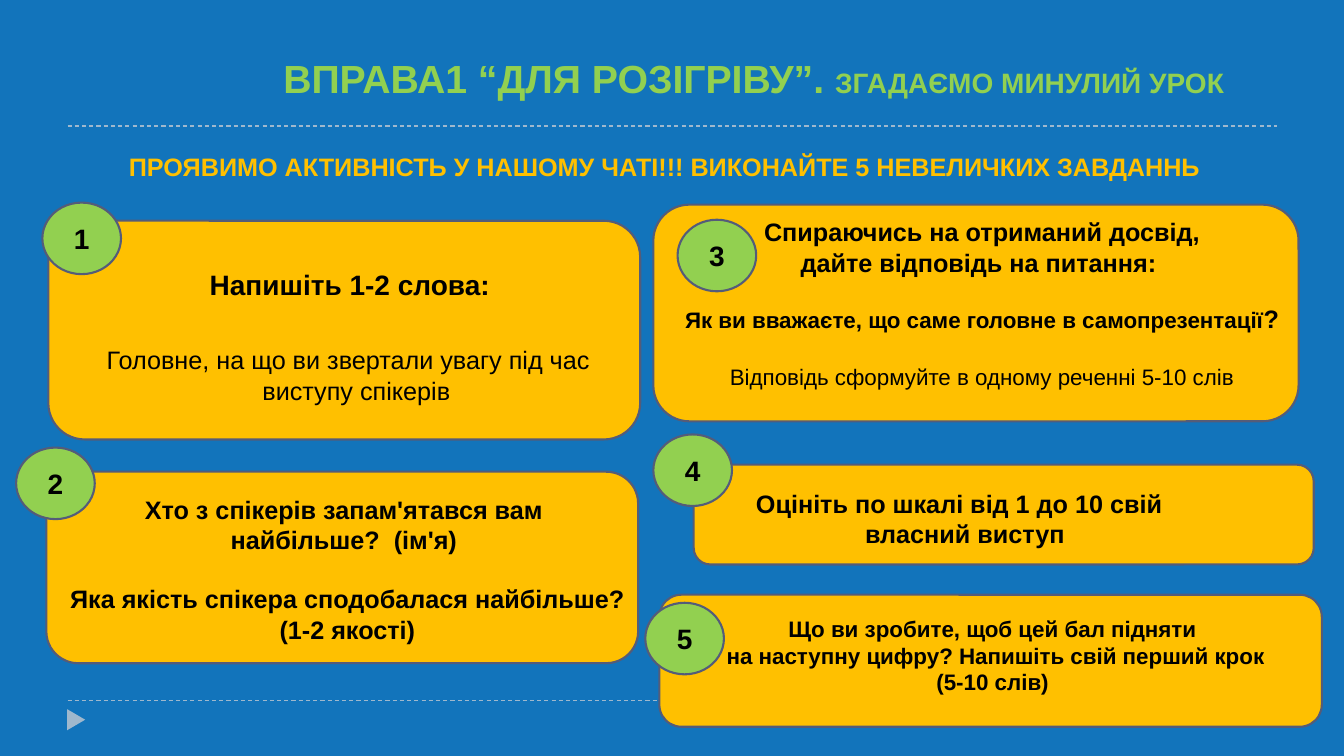
from lxml.etree import SubElement
from pptx import Presentation
from pptx.dml.color import RGBColor
from pptx.enum.dml import MSO_LINE
from pptx.enum.shapes import MSO_CONNECTOR, MSO_SHAPE
from pptx.enum.text import MSO_ANCHOR, MSO_AUTO_SIZE, PP_ALIGN
from pptx.oxml.ns import qn
from pptx.util import Inches, Pt

COLORS = {
    "background": "1274BB",
    "rule": "9FB8CD",
    "card": "FFC000",
    "badge": "92D050",
    "outline": "545C79",
    "ink": "000000",
}

TASKS = [
    {"number": "1", "box": (0.48, 2.19, 5.87, 2.17), "badge": (-0.06, -0.18), "blocks": [
        ((0.07, 0.41, 5.84, 0.44), [{"text": "Напишіть 1-2 слова:", "size": 20}]),
        ((0.48, 1.18, 5.15, 0.71), [
            {"text": "Головне, на що ви звертали увагу під час", "bold": False, "align": PP_ALIGN.LEFT},
            {"text": "виступу спікерів", "bold": False}])]},
    {"number": "2", "box": (0.46, 4.68, 5.87, 1.9), "badge": (-0.3, -0.24), "blocks": [
        ((-1.04, 0.17, 8.05, 1.92), [
            {"text": "Хто з спікерів запам'ятався вам "},
            {"text": "найбільше?  (ім'я) "},
            {"text": "Яка якість спікера сподобалася найбільше?", "before": 21},
            {"text": " (1-2 якості) "}])]},
    {"number": "3", "box": (6.48, 2.03, 6.4, 2.15), "badge": (0.24, 0.15), "blocks": [
        ((-0.19, 0.07, 6.9, 2.68), [
            {"text": "Спираючись на отриманий досвід,"},
            {"text": "дайте відповідь на питання: "},
            {"text": "Як ви вважаєте, що саме головне в самопрезентації", "size": 16,
             "before": 19, "tail": "?", "tail_size": 18},
            {"text": "Відповідь сформуйте в одному реченні 5-10 слів", "size": 16,
             "bold": False, "before": 21}])]},
    {"number": "4", "box": (6.88, 4.61, 6.15, 0.99), "badge": (-0.4, -0.3), "blocks": [
        ((0.52, 0.18, 4.34, 0.71), [
            {"text": "Оцініть по шкалі від 1 до 10 свій", "align": PP_ALIGN.LEFT},
            {"text": "власний виступ"}])]},
    {"number": "5", "box": (6.54, 5.9, 6.57, 1.31), "badge": (-0.14, 0.08), "blocks": [
        ((0.53, 0.15, 5.61, 0.91), [
            {"text": "Що ви зробите, щоб цей бал підняти ", "size": 16},
            {"text": "на наступну цифру? Напишіть свій перший крок", "size": 16},
            {"text": "(5-10 слів) ", "size": 16}])]},
]


def color(name):
    """Return the named palette colour."""
    return RGBColor.from_string(COLORS[name])


def write(paragraph, text, size=18, ink="ink", bold=True, align=PP_ALIGN.CENTER,
          before=0, tail="", tail_size=18):
    """Write a paragraph, with an optional tail in another size."""
    paragraph.alignment = align
    paragraph.space_before = Pt(before)
    for words, points in ((text, size), (tail, tail_size)):
        if words:
            run = paragraph.add_run()
            run.text = words
            run.font.name = "Arial"
            run.font.size = Pt(points)
            run.font.bold = bold
            run.font.color.rgb = color(ink)


def add_text(slide, box, lines):
    """Place a text box holding one paragraph per line."""
    frame = slide.shapes.add_textbox(*map(Inches, box)).text_frame
    frame.word_wrap = True
    for index, line in enumerate(lines):
        write(frame.add_paragraph() if index else frame.paragraphs[0], **line)


def add_figure(slide, preset, box, fill, outlined=True):
    """Place a flat filled preset shape."""
    figure = slide.shapes.add_shape(preset, *map(Inches, box))
    figure.shadow.inherit = False
    figure.fill.solid()
    figure.fill.fore_color.rgb = color(fill)
    if outlined:
        figure.line.color.rgb = color("outline")
        figure.line.width = Pt(1.5)
    else:
        figure.line.fill.background()
    return figure


def add_frame(slide, box):
    """Draw the dashed rules at the top and bottom of the box and the corner marker."""
    left, top, width, height = box
    for y in (top, top + height):
        rule = slide.shapes.add_connector(
            MSO_CONNECTOR.STRAIGHT, Inches(left), Inches(y), Inches(left + width), Inches(y))
        rule.line.color.rgb = color("rule")
        rule.line.width = Pt(0.75)
        rule.line.dash_style = MSO_LINE.DASH
        SubElement(rule._element.spPr, qn("a:effectLst"))
    marker = add_figure(slide, MSO_SHAPE.ISOSCELES_TRIANGLE,
                        (left - 0.02, top + height + 0.1, 0.21, 0.18), "rule", outlined=False)
    marker.rotation = 90


def add_heading(slide, box):
    """Fill the title placeholder and the call to action below it."""
    left, top, width, height = box
    title = slide.shapes.title
    title.left, title.top, title.width, title.height = map(Inches, box)
    frame = title.text_frame
    frame.auto_size = MSO_AUTO_SIZE.NONE
    frame.vertical_anchor = MSO_ANCHOR.TOP
    write(frame.paragraphs[0], "ВПРАВА1 “ДЛЯ РОЗІГРІВУ”. ", size=28, ink="badge",
          align=PP_ALIGN.LEFT, tail="ЗГАДАЄМО МИНУЛИЙ УРОК", tail_size=20)
    add_text(slide, (left - 1.53, top + 0.96, 10.97, 0.4), [
        {"text": "ПРОЯВИМО АКТИВНІСТЬ У НАШОМУ ЧАТІ!!! ВИКОНАЙТЕ 5 НЕВЕЛИЧКИХ ЗАВДАННЬ",
         "ink": "card", "align": PP_ALIGN.LEFT}])


def add_task(slide, number, box, badge, blocks):
    """Draw a task card with its texts and numbered badge."""
    left, top, width, height = box
    add_figure(slide, MSO_SHAPE.ROUNDED_RECTANGLE, box, "card")
    for (x, y, block_width, block_height), lines in blocks:
        add_text(slide, (left + x, top + y, block_width, block_height), lines)
    circle = add_figure(slide, MSO_SHAPE.OVAL,
                        (left + badge[0], top + badge[1], 0.78, 0.71), "badge")
    frame = circle.text_frame
    frame.margin_left = frame.margin_right = frame.margin_top = frame.margin_bottom = 0
    frame.vertical_anchor = MSO_ANCHOR.MIDDLE
    write(frame.paragraphs[0], number, size=20)


def main():
    """Build and save the warm-up exercise slide."""
    deck = Presentation()
    deck.slide_width, deck.slide_height = Inches(13.33), Inches(7.5)
    slide = deck.slides.add_slide(deck.slide_layouts[5])
    slide.background.fill.solid()
    slide.background.fill.fore_color.rgb = color("background")
    add_frame(slide, (0.67, 1.25, 12, 5.7))
    add_heading(slide, (2.71, 0.49, 9.73, 0.57))
    for task in TASKS:
        add_task(slide, **task)
    deck.save("out.pptx")


if __name__ == "__main__":
    main()
